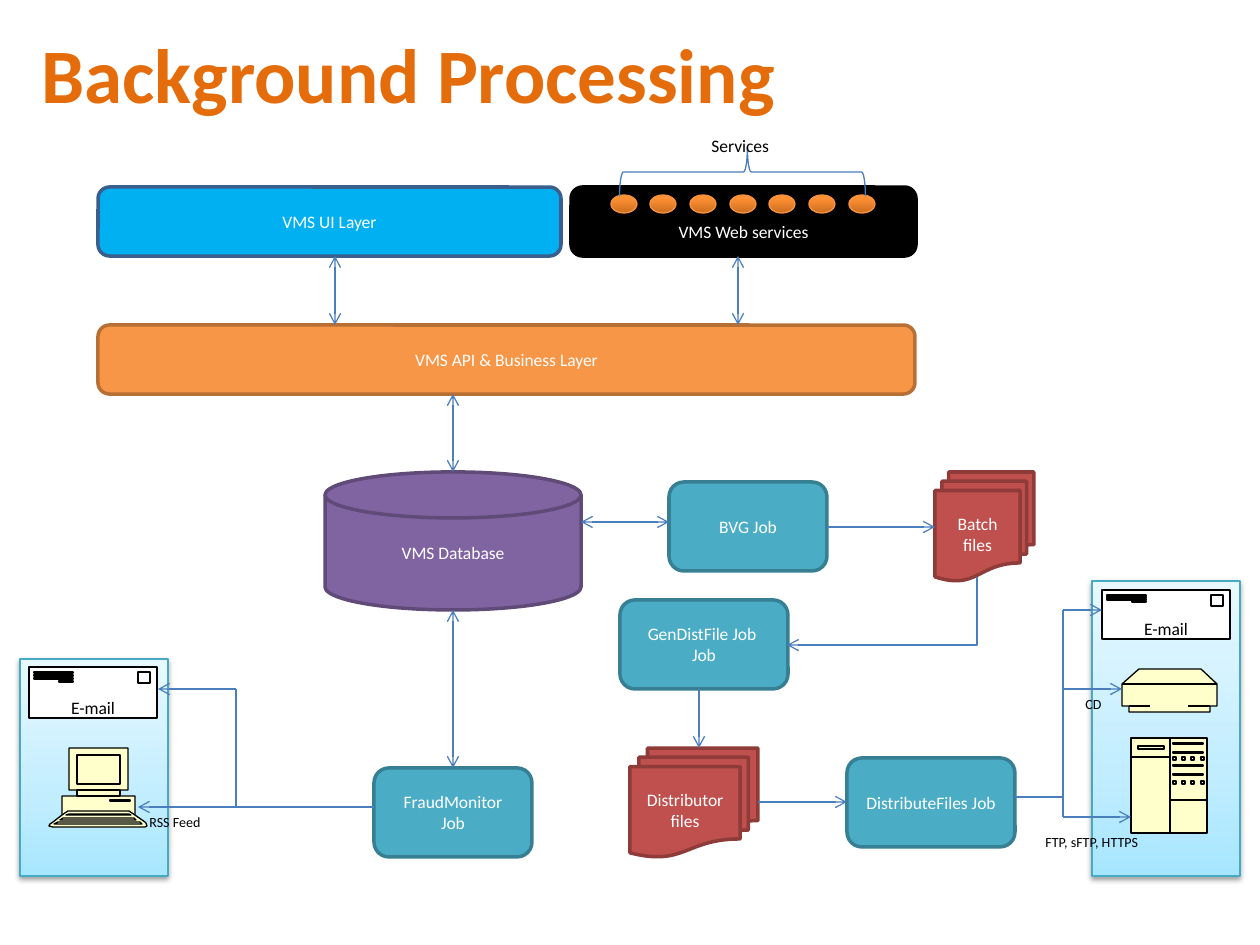
"""Builds the Background Processing architecture slide."""
from dataclasses import dataclass
from typing import Optional

from lxml import etree
from pptx import Presentation
from pptx.dml.color import RGBColor
from pptx.enum.shapes import MSO_CONNECTOR, MSO_SHAPE
from pptx.enum.text import MSO_ANCHOR, PP_ALIGN
from pptx.oxml.ns import qn
from pptx.util import Emu, Pt

ROUNDED = MSO_SHAPE.ROUNDED_RECTANGLE
RECTANGLE = MSO_SHAPE.RECTANGLE
ELLIPSE = MSO_SHAPE.OVAL
DOCUMENTS = MSO_SHAPE.FLOWCHART_MULTIDOCUMENT
DISK = MSO_SHAPE.FLOWCHART_MAGNETIC_DISK
BRACE = MSO_SHAPE.RIGHT_BRACE
STRAIGHT = MSO_CONNECTOR.STRAIGHT
ELBOW = MSO_CONNECTOR.ELBOW
CENTER, LEFT = PP_ALIGN.CENTER, PP_ALIGN.LEFT
MIDDLE, BOTTOM = MSO_ANCHOR.MIDDLE, MSO_ANCHOR.BOTTOM

SCALE = 914400 / 126
FONT = "Calibri"
WHITE, BLACK, FLOW, CREAM = "FFFFFF", "000000", "4B7EBC", "FFFFCC"
TEAL, TEAL_EDGE = "4BACC6", "377F92"
RED, RED_EDGE = "C0504D", "8E3B39"
PANEL_STOPS = ((0, "A7E6FF"), (35, "C1EDFF"), (100, "E7F8FF"))
SERVICE_STOPS = ((0, "CC6E20"), (80, "FF9034"), (100, "FF9136"))


@dataclass
class Node:
    kind: int
    box: tuple
    lines: tuple
    fill: str
    edge: str
    top_inset: int = 6


@dataclass
class Flow:
    start: tuple
    end: tuple
    head: bool = False
    tail: bool = True


@dataclass
class Caption:
    box: tuple
    text: str
    size: int
    color: str = BLACK
    bold: bool = False


@dataclass
class Icon:
    body: list
    details: list
    fill: str = CREAM
    label: Optional[str] = None


def px(value: float) -> Emu:
    """Turns pixels into EMU."""
    return Emu(round(value * SCALE))


def rgb(color: str) -> RGBColor:
    """Turns a hex string into a colour."""
    return RGBColor.from_string(color)


def set_edge(shape, color: str, width: float = 0.75) -> None:
    """Sets the outline and removes the theme shadow."""
    shape.shadow.inherit = False
    shape.line.color.rgb = rgb(color)
    shape.line.width = Pt(width)


def write(frame, lines: tuple, size: int, color: str, align: int, bold: bool = False) -> None:
    """Writes one paragraph with one run per line."""
    frame.word_wrap = True
    for index, text in enumerate(lines):
        paragraph = frame.add_paragraph() if index else frame.paragraphs[0]
        paragraph.alignment = align
        run = paragraph.add_run()
        run.text = text
        run.font.name, run.font.size, run.font.bold = FONT, Pt(size), bold
        run.font.color.rgb = rgb(color)


def draw_node(shapes, node: Node) -> None:
    """Draws a filled box of the diagram with its label."""
    shape = shapes.add_shape(node.kind, *map(px, node.box))
    shape.fill.solid()
    shape.fill.fore_color.rgb = rgb(node.fill)
    set_edge(shape, node.edge, 2)
    shape.text_frame.vertical_anchor = MIDDLE
    shape.text_frame.margin_top = px(node.top_inset)
    write(shape.text_frame, node.lines, 10, WHITE, CENTER)


def draw_glossy(shapes, kind: int, box: tuple, stops: tuple, edge: str, alpha: int) -> None:
    """Draws a shape with an upward gradient and a soft shadow below."""
    shape = shapes.add_shape(kind, *map(px, box))
    set_edge(shape, edge)
    shape.fill.gradient()
    shape.fill.gradient_angle = 90
    properties = shape.element.spPr
    stop_list = properties.find(qn("a:gradFill")).find(qn("a:gsLst"))
    for old in list(stop_list):
        stop_list.remove(old)
    for position, color in stops:
        stop = etree.SubElement(stop_list, qn("a:gs"), pos=str(position * 1000))
        etree.SubElement(stop, qn("a:srgbClr"), val=color)
    shadow = etree.SubElement(properties.find(qn("a:effectLst")), qn("a:outerShdw"),
                              blurRad="39370", dist="21590", dir="5400000", rotWithShape="0")
    tint = etree.SubElement(shadow, qn("a:srgbClr"), val=BLACK)
    etree.SubElement(tint, qn("a:alpha"), val=str(alpha * 1000))


def draw_flow(shapes, flow: Flow, kind: int = STRAIGHT):
    """Draws a connector with open arrowheads."""
    connector = shapes.add_connector(kind, *map(px, flow.start + flow.end))
    connector.line.color.rgb = rgb(FLOW)
    connector.line.width = Pt(0.75)
    properties = connector.element.spPr
    for tag, shown in (("a:headEnd", flow.head), ("a:tailEnd", flow.tail)):
        if shown:
            etree.SubElement(properties.find(qn("a:ln")), qn(tag), type="arrow")
    etree.SubElement(properties, qn("a:effectLst"))
    return connector


def draw_caption(shapes, caption: Caption) -> None:
    """Draws free text."""
    frame = shapes.add_textbox(*map(px, caption.box)).text_frame
    write(frame, (caption.text,), caption.size, caption.color, LEFT, caption.bold)


def rect(x: int, y: int, width: int, height: int) -> list:
    """Gives the closed outline of a rectangle."""
    right, bottom = x + width, y + height
    return [(x, y), (right, y), (right, bottom), (x, bottom), (x, y)]


def draw_outlines(shapes, contours: list):
    """Draws several contours as one freeform."""
    builder = shapes.build_freeform(*contours[0][0], scale=SCALE)
    for index, contour in enumerate(contours):
        if index:
            builder.move_to(*contour[0])
        builder.add_line_segments(contour[1:], close=False)
    shape = builder.convert_to_shape()
    set_edge(shape, BLACK)
    return shape


def draw_icon(shapes, icon: Icon) -> None:
    """Draws an icon body, its label and its inner lines."""
    body = draw_outlines(shapes, [icon.body])
    body.fill.solid()
    body.fill.fore_color.rgb = rgb(icon.fill)
    if icon.label:
        body.text_frame.vertical_anchor = BOTTOM
        body.text_frame.margin_bottom = 0
        write(body.text_frame, (icon.label,), 10, BLACK, CENTER)
    draw_outlines(shapes, icon.details).fill.background()


def envelope(x: int, y: int, height: int, step: int) -> Icon:
    """Gives an e-mail icon with address lines and a stamp."""
    address = [rect(x + 5, y + 5 + step * row, 39, 1) for row in range(3)]
    address.append(rect(x + 30, y + 5 + step * 3, 14, 1))
    return Icon(rect(x, y, 128, height), [rect(x + 109, y + 5, 12, 11)] + address, WHITE, "E-mail")


NODES = [
    Node(ROUNDED, (98, 187, 463, 69), ("VMS UI Layer",), "00B0F0", "3A5F8C"),
    Node(ROUNDED, (571, 187, 345, 69), ("VMS Web services",), BLACK, BLACK, 27),
    Node(ROUNDED, (98, 325, 817, 69), ("VMS API & Business Layer",), "F79646", "B76F34"),
    Node(ROUNDED, (669, 482, 158, 89), ("BVG Job",), TEAL, TEAL_EDGE),
    Node(ROUNDED, (620, 600, 168, 89), ("GenDistFile Job ", "Job"), TEAL, TEAL_EDGE),
    Node(DOCUMENTS, (630, 748, 128, 109), ("Distributor files",), RED, RED_EDGE),
    Node(DOCUMENTS, (935, 472, 99, 109), ("Batch files",), RED, RED_EDGE),
    Node(DISK, (325, 472, 256, 138), ("VMS Database",), "8064A2", "5F4A78"),
    Node(ROUNDED, (374, 768, 158, 89), ("FraudMonitor Job",), TEAL, TEAL_EDGE),
    Node(ROUNDED, (847, 758, 168, 89), ("DistributeFiles Job",), TEAL, TEAL_EDGE),
]
FLOWS = [
    Flow((335, 256), (335, 325), head=True), Flow((738, 256), (738, 325), head=True),
    Flow((453, 394), (453, 472), head=True), Flow((453, 768), (453, 610), head=True),
    Flow((581, 522), (669, 522), head=True), Flow((827, 527), (935, 527)),
    Flow((699, 689), (699, 748)), Flow((758, 802), (847, 802)),
    Flow((1015, 797), (1063, 797), tail=False), Flow((1063, 610), (1063, 817), tail=False),
    Flow((1063, 610), (1102, 610)), Flow((1063, 689), (1122, 689)),
    Flow((1063, 817), (1131, 817)), Flow((374, 807), (138, 807)),
    Flow((236, 807), (236, 689), tail=False), Flow((236, 689), (158, 689)),
]
CAPTIONS = [
    Caption((699, 129, 266, 34), "Services", 10),
    Caption((29, 20, 1162, 106), "Background Processing", 44, "E46C0A", True),
    Caption((1033, 827, 129, 30), "FTP, sFTP, HTTPS", 8),
    Caption((1073, 689, 49, 30), "CD", 8),
    Caption((137, 807, 88, 30), "RSS Feed", 8),
]
DISC_DRIVE = Icon(
    [(1217, 684), (1201, 669), (1139, 669), (1122, 684), (1122, 706), (1129, 706), (1129, 712),
     (1210, 712), (1210, 706), (1217, 706), (1217, 684)],
    [[(1129, 706), (1150, 706)], [(1210, 706), (1188, 706)], [(1122, 684), (1217, 684)]])
SERVER = Icon(
    rect(1131, 738, 76, 95),
    [rect(1138, 746, 26, 3), [(1131, 757), (1170, 757), (1170, 800), (1207, 800)],
     [(1170, 738), (1170, 833)]]
    + [rect(1173, y, 30, 1) for y in (743, 752, 765, 774)]
    + [rect(1173 + 28 * slot // 3, y, 3, 3) for y in (757, 781) for slot in range(4)])
COMPUTER = Icon(
    [(145, 822), (135, 815), (135, 796), (120, 796), (120, 790), (128, 790), (128, 748),
     (69, 748), (69, 790), (77, 790), (77, 796), (62, 796), (62, 815), (53, 822), (50, 824),
     (49, 826), (53, 827), (145, 827), (147, 826), (146, 823), (145, 822)],
    [[(131, 815), (129, 814), (69, 814), (66, 815), (131, 815)],
     [(136, 820), (134, 818), (63, 818), (60, 820), (136, 820)],
     [(142, 824), (140, 822), (58, 822), (54, 824), (142, 824)],
     [(135, 815), (129, 811), (68, 811), (62, 815)],
     rect(110, 800, 20, 1), rect(77, 755, 43, 29), rect(77, 790, 43, 6)])
ICONS = [envelope(1102, 590, 49, 2), DISC_DRIVE, SERVER, envelope(29, 667, 51, 3), COMPUTER]


def main() -> None:
    """Builds and saves the slide."""
    deck = Presentation()
    deck.slide_width, deck.slide_height = px(1260), px(945)
    shapes = deck.slides.add_slide(deck.slide_layouts[6]).shapes
    for node in NODES:
        draw_node(shapes, node)
    for service in range(7):
        draw_glossy(shapes, ELLIPSE, (611 + 119 * service // 3, 195, 26, 18),
                    SERVICE_STOPS, "F69240", 35)
    brace = shapes.add_shape(BRACE, *map(px, (718, 49, 49, 246)))
    brace.rotation = 270
    brace.adjustments[0], brace.adjustments[1] = 0.08, 0.52
    brace.fill.background()
    set_edge(brace, FLOW)
    for panel in ((1092, 581, 148, 295), (20, 659, 148, 217)):
        draw_glossy(shapes, RECTANGLE, panel, PANEL_STOPS, "46AAC5", 38)
    for icon in ICONS:
        draw_icon(shapes, icon)
    for flow in FLOWS:
        draw_flow(shapes, flow)
    batch_return = draw_flow(shapes, Flow((848, 516), (916, 706)), ELBOW).element.spPr
    batch_return.find(qn("a:xfrm")).set("rot", "5400000")
    batch_return.find(qn("a:prstGeom")).set("prst", "bentConnector2")
    for caption in CAPTIONS:
        draw_caption(shapes, caption)
    deck.save("out.pptx")


main()
